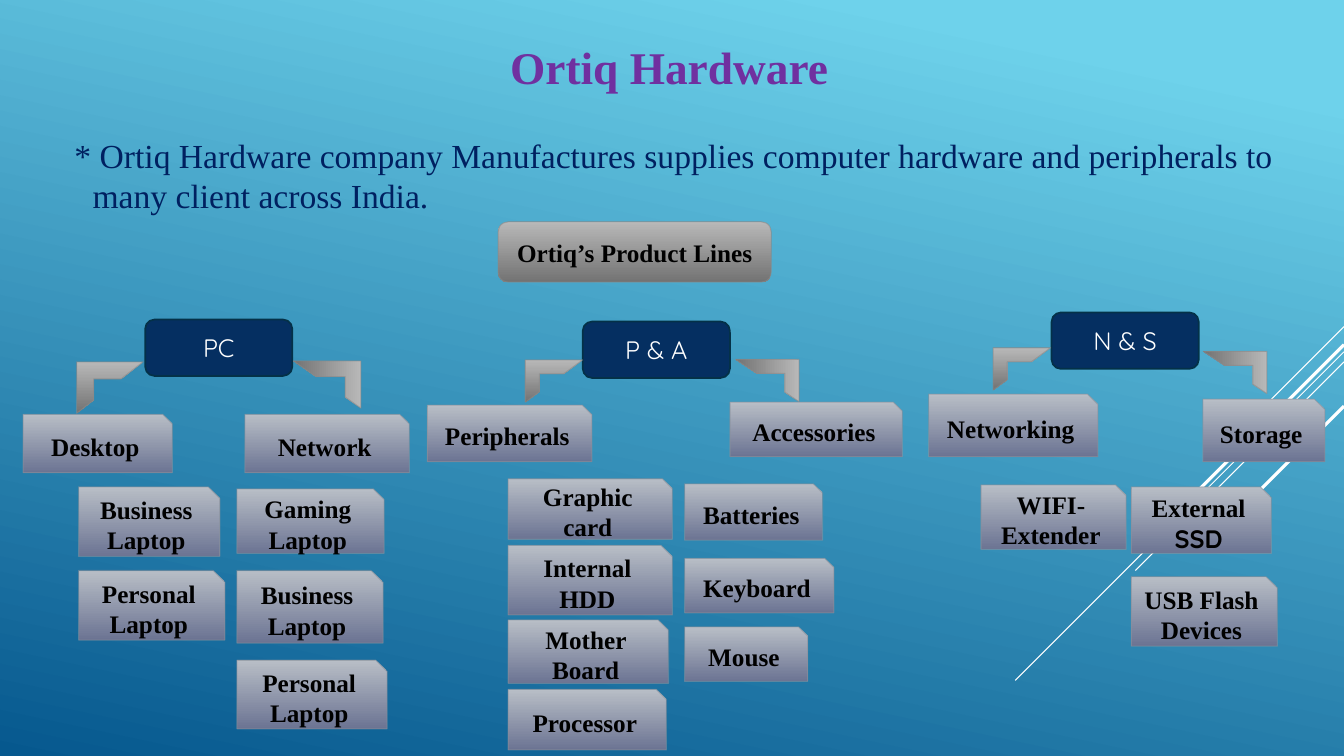
from lxml.etree import SubElement
from pptx import Presentation
from pptx.dml.color import RGBColor
from pptx.enum.shapes import MSO_CONNECTOR, MSO_SHAPE as Preset
from pptx.enum.text import MSO_ANCHOR as Anchor, PP_ALIGN as Align
from pptx.oxml.ns import qn
from pptx.util import Inches, Pt

SKY, OCEAN = RGBColor(0x6E, 0xD2, 0xEB), RGBColor(0x06, 0x58, 0x8E)
WHITE, BLACK = RGBColor(0xFF, 0xFF, 0xFF), RGBColor(0, 0, 0)
PURPLE, INK = RGBColor(0x70, 0x30, 0xA0), RGBColor(0x00, 0x20, 0x60)
NAVY, NAVY_EDGE = RGBColor(0x05, 0x2F, 0x61), RGBColor(0x04, 0x31, 0x48)
GREY = RGBColor(0xB8, 0xB8, 0xB8), RGBColor(0x73, 0x73, 0x73)
STEEL = RGBColor(0xB8, 0xBE, 0xC6), RGBColor(0x6C, 0x74, 0x93)
GREY_EDGE, STEEL_EDGE = RGBColor(0x89, 0x89, 0x89), RGBColor(0x89, 0x91, 0x9C)
SERIF, SANS = "Times New Roman", "Quicksand"

# The slide is a grid of 1333 columns by 750 rows.
COLUMNS, ROWS = 1333, 750
CELL = Inches(0.01)

# Each family: box corner, name, its place in the box, then two branches.
# A branch: elbow (left, top, width, height), head (label, left, top, width,
# height), left of its product column, and products (label, top, width, height
# and, if it differs, a closing word in the sans font).
FAMILIES = [
    ((23, 310), "PC", (121, 7), [
        ((53, 49, 66, 51), ("Desktop", 0, 101, 148, 58), 55,
         [("Business Laptop", 173, 140, 69), ("Personal Laptop", 256, 145, 69)]),
        ((268, 48, 67, 47), ("Network", 220, 101, 163, 58), 212,
         [("Gaming Laptop", 175, 146, 64), ("Business Laptop", 256, 145, 72),
          ("Personal\nLaptop", 345, 149, 68)])]),
    ((424, 310), "P & A", (154, 9), [
        ((97, 47, 57, 42), ("Peripherals", 0, 92, 163, 56), 80,
         [("Graphic card", 165, 163, 60), ("Internal HDD", 231, 163, 69),
          ("Mother Board", 305, 159, 63), ("Processor", 374, 157, 60)]),
        ((306, 47, 63, 42), ("Accessories", 300, 89, 171, 54), 255,
         [("Batteries", 170, 137, 56), ("Keyboard", 244, 148, 54),
          ("Mouse", 312, 122, 54)])]),
    ((921, 310), "N & S", (122, 0), [
        ((64, 35, 57, 42), ("Networking", 0, 81, 168, 62), 52,
         [("WIFI-Extender", 171, 144, 64)]),
        ((272, 39, 63, 42), ("Storage", 272, 86, 121, 62), 201,
         [("External ", 173, 139, 66, "SSD"),
          ("USB Flash Devices", 262, 145, 69)])]),
]


def write(shape, text, size=18, font=SERIF, color=BLACK, bold=True,
          align=Align.CENTER, anchor=Anchor.MIDDLE, closing=""):
    frame = shape.text_frame
    frame.word_wrap = True
    frame.vertical_anchor = anchor
    for number, line in enumerate(text.split("\n")):
        paragraph = frame.add_paragraph() if number else frame.paragraphs[0]
        paragraph.alignment = align
        for words, face in ((line, font), (closing, SANS)):
            if words:
                run = paragraph.add_run()
                run.text = words
                run.font.name, run.font.size = face, Pt(size)
                run.font.bold, run.font.color.rgb = bold, color
    return frame


def shade(fill, colors, angle=270, first=0):
    fill.gradient()
    fill.gradient_angle = angle
    for stop, color, position in zip(fill.gradient_stops, colors, (first, 1)):
        stop.color.rgb, stop.position = color, position


def cells(*lengths):
    return [CELL * length for length in lengths]


def add_block(slide, preset, place, colors, edge):
    """Add a shape with a gradient from a pair of colours, or one solid colour."""
    block = slide.shapes.add_shape(preset, *cells(*place))
    block.shadow.inherit = False
    block.line.color.rgb = edge
    if isinstance(colors, RGBColor):
        block.fill.solid()
        block.fill.fore_color.rgb = colors
        block.line.width = Pt(1.25)
    else:
        shade(block.fill, colors)
        block.line.width = Pt(0.75)
        edge_color = block.line._ln.find(".//" + qn("a:srgbClr"))
        SubElement(edge_color, qn("a:alpha"), val="60000")
    return block


def add_rays(slide):
    """Draw the diagonal rays that leave the right edge at 45 degrees."""
    for top, reach, width in ((324, 100, 0.75), (349, 326, 0.75),
                              (359, 207, 0.75), (342, 191, 2.25),
                              (403, 139, 2.25)):
        ray = slide.shapes.add_connector(
            MSO_CONNECTOR.STRAIGHT,
            *cells(COLUMNS, top, COLUMNS - reach, top + reach))
        ray.line.color.rgb, ray.line.width = WHITE, Pt(width)
        SubElement(ray._element.spPr, qn("a:effectLst"))


def add_heading(slide):
    title = slide.shapes.title
    title.left, title.top, title.width, title.height = cells(454, 32, 395, 68)
    write(title, "Ortiq Hardware", size=32.4, color=PURPLE,
          align=Align.LEFT).margin_left = CELL * 52

    summary = slide.shapes.add_textbox(*cells(57, 129, 1249, 91))
    frame = write(summary, "* Ortiq Hardware company Manufactures supplies "
                  "computer hardware and peripherals to\n"
                  "many client across India.", size=24, color=INK, bold=False,
                  align=Align.LEFT, anchor=Anchor.TOP)
    for paragraph, indent in zip(frame.paragraphs, (7, 25)):
        paragraph._p.get_or_add_pPr().set("marL", str(CELL * indent))

    root = add_block(slide, Preset.ROUNDED_RECTANGLE, (494, 220, 271, 60),
                     GREY, GREY_EDGE)
    write(root, "Ortiq’s Product Lines")


def add_elbow(slide, left, top, width, height, turned):
    """Add a half frame that fills the given box, turned right if asked."""
    if turned:
        left, top = left + (width - height) / 2, top + (height - width) / 2
        width, height = height, width
    place = [round(length, 1) for length in (left, top, width, height)]
    elbow = add_block(slide, Preset.HALF_FRAME, [round(n) for n in place],
                      GREY, GREY_EDGE)
    elbow.rotation = 90 if turned else 0


def add_family(slide, corner, name, name_at, branches):
    x, y = corner
    badge = add_block(slide, Preset.ROUNDED_RECTANGLE,
                      (x + name_at[0], y + name_at[1], 146, 56),
                      NAVY, NAVY_EDGE)
    write(badge, name, font=SANS, color=WHITE, bold=False)

    def add_card(label, left, top, width, height, closing=""):
        card = add_block(slide, Preset.SNIP_1_RECTANGLE,
                         (x + left, y + top, width, height), STEEL, STEEL_EDGE)
        write(card, label, closing=closing)

    for turned, (elbow, head, column, products) in enumerate(branches):
        left, top, width, height = elbow
        add_elbow(slide, x + left, y + top, width, height, turned)
        add_card(*head)
        for label, *place in products:
            add_card(label, column, *place)


def main():
    deck = Presentation()
    deck.slide_width, deck.slide_height = cells(COLUMNS, ROWS)
    slide = deck.slides.add_slide(deck.slide_layouts[5])
    shade(slide.background.fill, (SKY, OCEAN), angle=258, first=0.1)
    add_rays(slide)
    add_heading(slide)
    for family in FAMILIES:
        add_family(slide, *family)
    deck.save("out.pptx")


if __name__ == "__main__":
    main()
